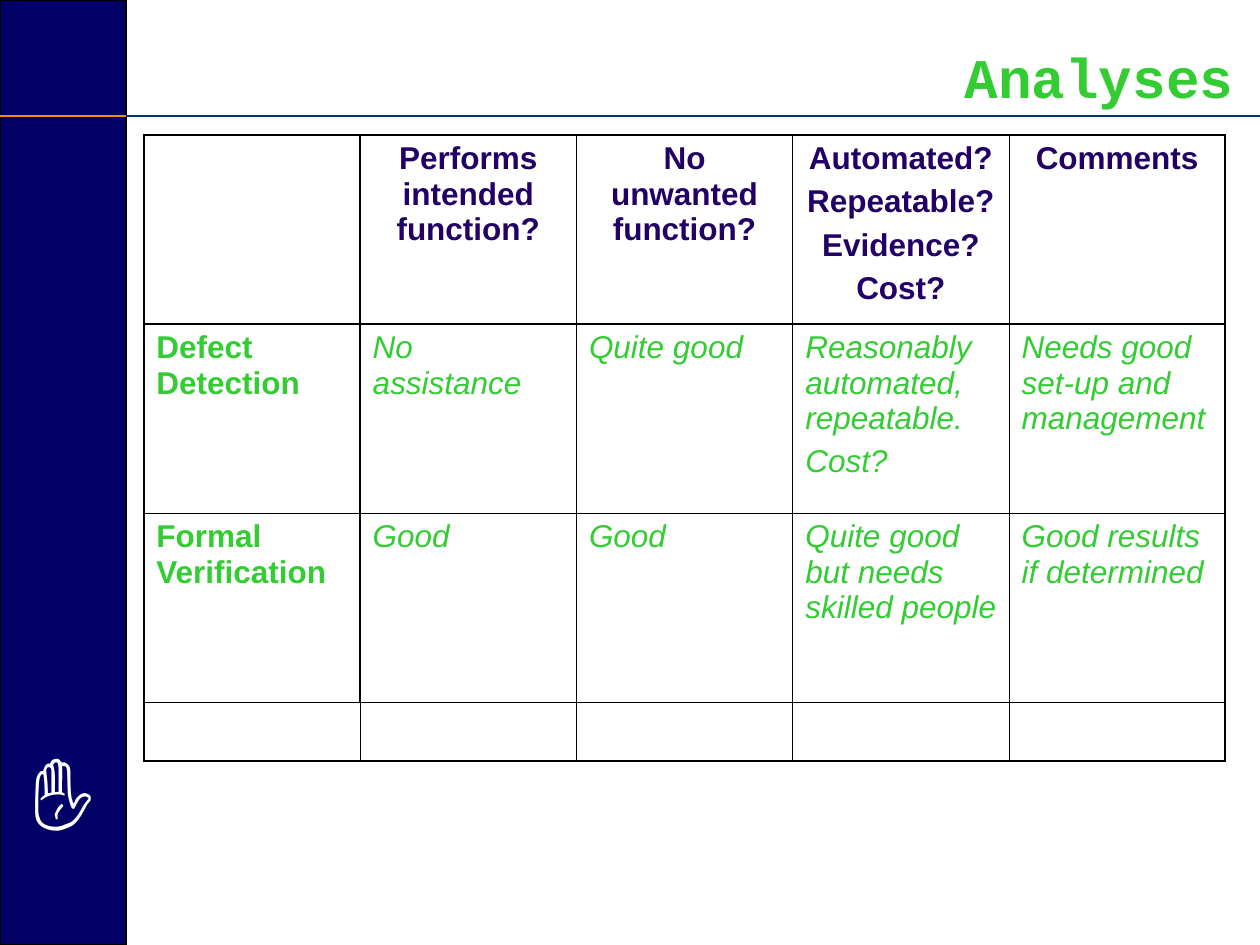
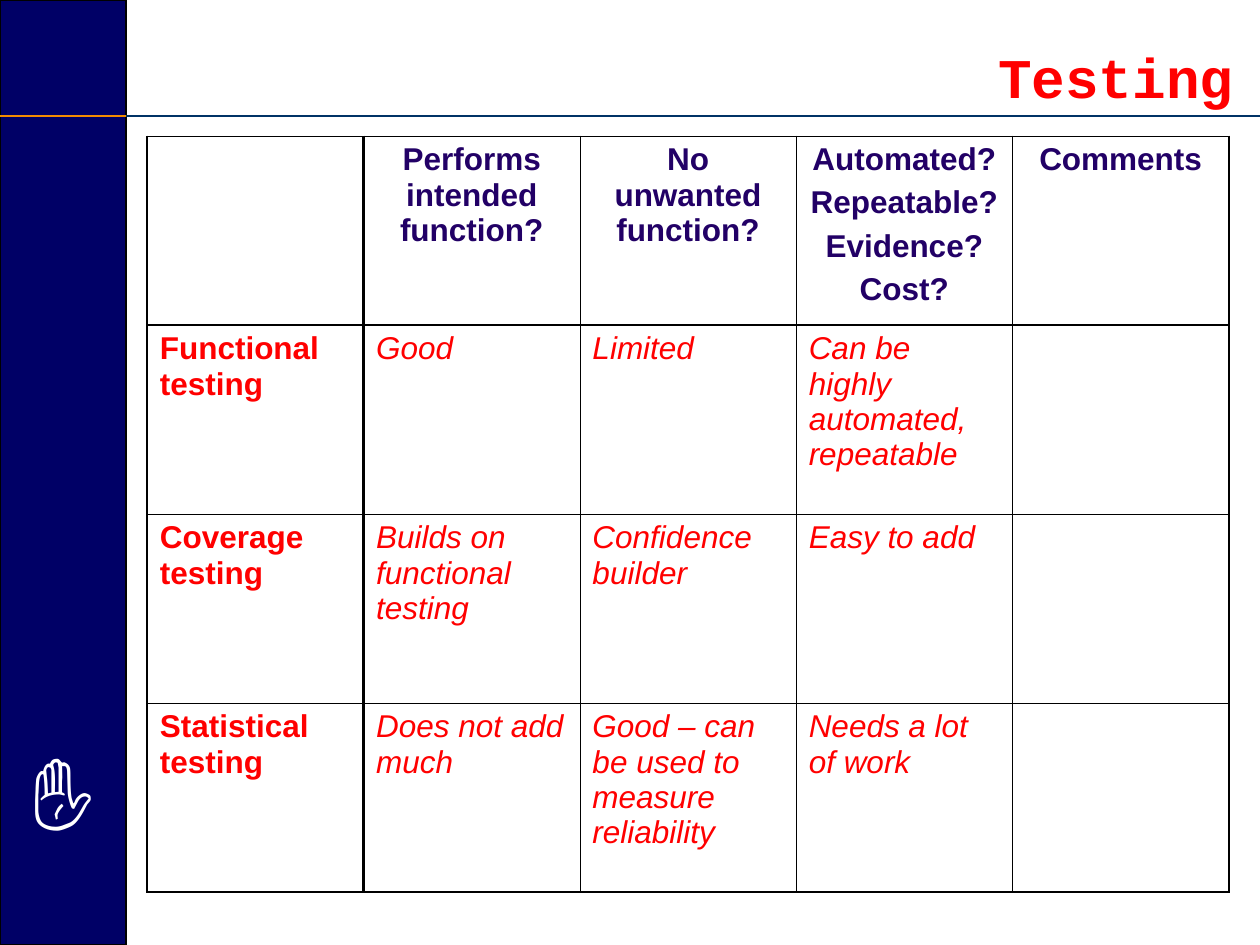
from dataclasses import dataclass

from lxml.etree import SubElement
from pptx import Presentation
from pptx.dml.color import RGBColor
from pptx.enum.shapes import MSO_CONNECTOR, MSO_SHAPE
from pptx.enum.text import MSO_ANCHOR, MSO_AUTO_SIZE, PP_ALIGN
from pptx.oxml.ns import qn
from pptx.util import Cm, Pt

HEADER = ["", "Performs intended function?", "No unwanted function?",
          "Automated?\nRepeatable?\nEvidence?\nCost?", "Comments"]

SLIDES = [
    dict(title="Analyses", color="33CC33", left=2.9, top=2.72, top_border=1.08,
         heights=[3.81, 3.81, 3.81, 1.19], rows=[
             ["Defect Detection", "No assistance", "Quite good",
              "Reasonably automated, repeatable.\nCost?",
              "Needs good set-up and management"],
             ["Formal Verification", "Good", "Good",
              "Quite good but needs skilled people", "Good results if determined"],
             ["", "", "", "", ""],
         ]),
    dict(title="Testing", color="FF0000", left=2.97, top=2.74, top_border=0.45,
         heights=[3.81] * 4, rows=[
             ["Functional testing", "Good", "Limited",
              "Can be highly automated, repeatable", ""],
             ["Coverage testing", "Builds on functional testing",
              "Confidence builder", "Easy to add", ""],
             ["Statistical testing", "Does not add much",
              "Good – can be used to measure reliability", "Needs a lot of work", ""],
         ]),
]


@dataclass(frozen=True)
class Theme:
    band: str = "000066"
    rule: str = "003366"
    band_rule: str = "F48B00"
    header: str = "220066"
    white: str = "FFFFFF"
    black: str = "000000"
    title_font: str = "Courier New"
    body_font: str = "Arial"
    symbol_font: str = "Calibri"
    title_size: float = 32
    body_size: float = 18
    symbol_size: float = 48
    thin: float = 0.45
    outer: float = 1.08
    heavy: float = 1.47


T = Theme()
WIDTH, HEIGHT = 25.4, 19.05
BAND_W, RULE_Y = 2.54, 2.34
COL_W = 4.36


def rgb(code):
    return RGBColor.from_string(code)


def write(tf, text, *, font, size, color, bold=False, italic=False,
          align=PP_ALIGN.LEFT, gap=0):
    """Fill a text frame, one paragraph per line, with gap points between them."""
    for i, line in enumerate(text.split("\n")):
        p = tf.paragraphs[0] if i == 0 else tf.add_paragraph()
        p.alignment = align
        p.space_before = Pt(gap if i else 0)
        r = p.add_run()
        r.text = line
        f = r.font
        f.name, f.size, f.bold, f.italic = font, Pt(size), bold, italic
        f.color.rgb = rgb(color)


def add_rule(s, x1, x2, color):
    line = s.shapes.add_connector(MSO_CONNECTOR.STRAIGHT, Cm(x1), Cm(RULE_Y), Cm(x2), Cm(RULE_Y))
    line.line.color.rgb = rgb(color)
    line.line.width = Pt(1)
    SubElement(line._element.spPr, qn("a:effectLst"))


def add_frame(s):
    """Side band with its hand symbol, and the rule under the title."""
    band = s.shapes.add_shape(MSO_SHAPE.RECTANGLE, 0, 0, Cm(BAND_W), Cm(HEIGHT))
    band.shadow.inherit = False
    band.fill.solid()
    band.fill.fore_color.rgb = rgb(T.band)
    band.line.color.rgb = rgb(T.black)
    band.line.width = Pt(1)
    tf = band.text_frame
    tf.word_wrap = False
    tf.vertical_anchor = MSO_ANCHOR.BOTTOM
    tf.margin_bottom = Cm(2.19)
    write(tf, "✋", font=T.symbol_font, size=T.symbol_size, color=T.white,
          align=PP_ALIGN.CENTER)
    add_rule(s, BAND_W, WIDTH, T.rule)
    add_rule(s, 0, BAND_W, T.band_rule)


def add_text_shadow(r):
    effects = SubElement(r._r.get_or_add_rPr(), qn("a:effectLst"))
    shadow = SubElement(effects, qn("a:outerShdw"), dist="35921", dir="2700000")
    SubElement(shadow, qn("a:srgbClr"), val=T.black)
    r.font._rPr.find(qn("a:solidFill")).addnext(effects)


def set_title(s, text, color):
    title = s.shapes.title
    title.left, title.top = Cm(BAND_W), 0
    title.width, title.height = Cm(WIDTH - BAND_W), Cm(RULE_Y)
    tf = title.text_frame
    tf.auto_size = MSO_AUTO_SIZE.NONE
    tf.vertical_anchor = MSO_ANCHOR.BOTTOM
    tf.margin_right = Cm(0.53)
    write(tf, text, font=T.title_font, size=T.title_size, color=color,
          bold=True, align=PP_ALIGN.RIGHT)
    add_text_shadow(tf.paragraphs[0].runs[0])


def set_borders(cell, **widths):
    tcPr = cell._tc.get_or_add_tcPr()
    for side in "LRTB":
        ln = SubElement(tcPr, qn(f"a:ln{side}"), w=str(Pt(widths[side])))
        fill = SubElement(ln, qn("a:solidFill"))
        SubElement(fill, qn("a:srgbClr"), val=T.black)


def add_grid(s, data):
    rows = [HEADER] + data["rows"]
    n_rows, n_cols = len(rows), len(HEADER)
    table = s.shapes.add_table(n_rows, n_cols, Cm(data["left"]), Cm(data["top"]),
                               Cm(COL_W * n_cols), Cm(sum(data["heights"]))).table
    table.first_row = table.horz_banding = False
    for col in table.columns:
        col.width = Cm(COL_W)
    for row, height in zip(table.rows, data["heights"]):
        row.height = Cm(height)

    # Line widths from top to bottom and from left to right
    across = [data["top_border"], T.heavy] + [T.thin] * (n_rows - 2) + [T.outer]
    down = [T.outer, T.heavy] + [T.thin] * (n_cols - 2) + [T.outer]
    for i, row in enumerate(rows):
        edges = down if any(row) else [T.outer] + [T.thin] * (n_cols - 1) + [T.outer]
        for j, text in enumerate(row):
            cell = table.cell(i, j)
            set_borders(cell, L=edges[j], R=edges[j + 1], T=across[i], B=across[i + 1])
            cell.fill.background()
            if text:
                head = i == 0
                write(cell.text_frame, text, font=T.body_font, size=T.body_size,
                      color=T.header if head else data["color"],
                      bold=head or j == 0, italic=not head and j > 0,
                      align=PP_ALIGN.CENTER if head else PP_ALIGN.LEFT, gap=4.5)


def main():
    prs = Presentation()
    prs.slide_width, prs.slide_height = Cm(WIDTH), Cm(HEIGHT)
    for data in SLIDES:
        s = prs.slides.add_slide(prs.slide_layouts[5])
        add_frame(s)
        set_title(s, data["title"], data["color"])
        add_grid(s, data)
    prs.save("out.pptx")


if __name__ == "__main__":
    main()
